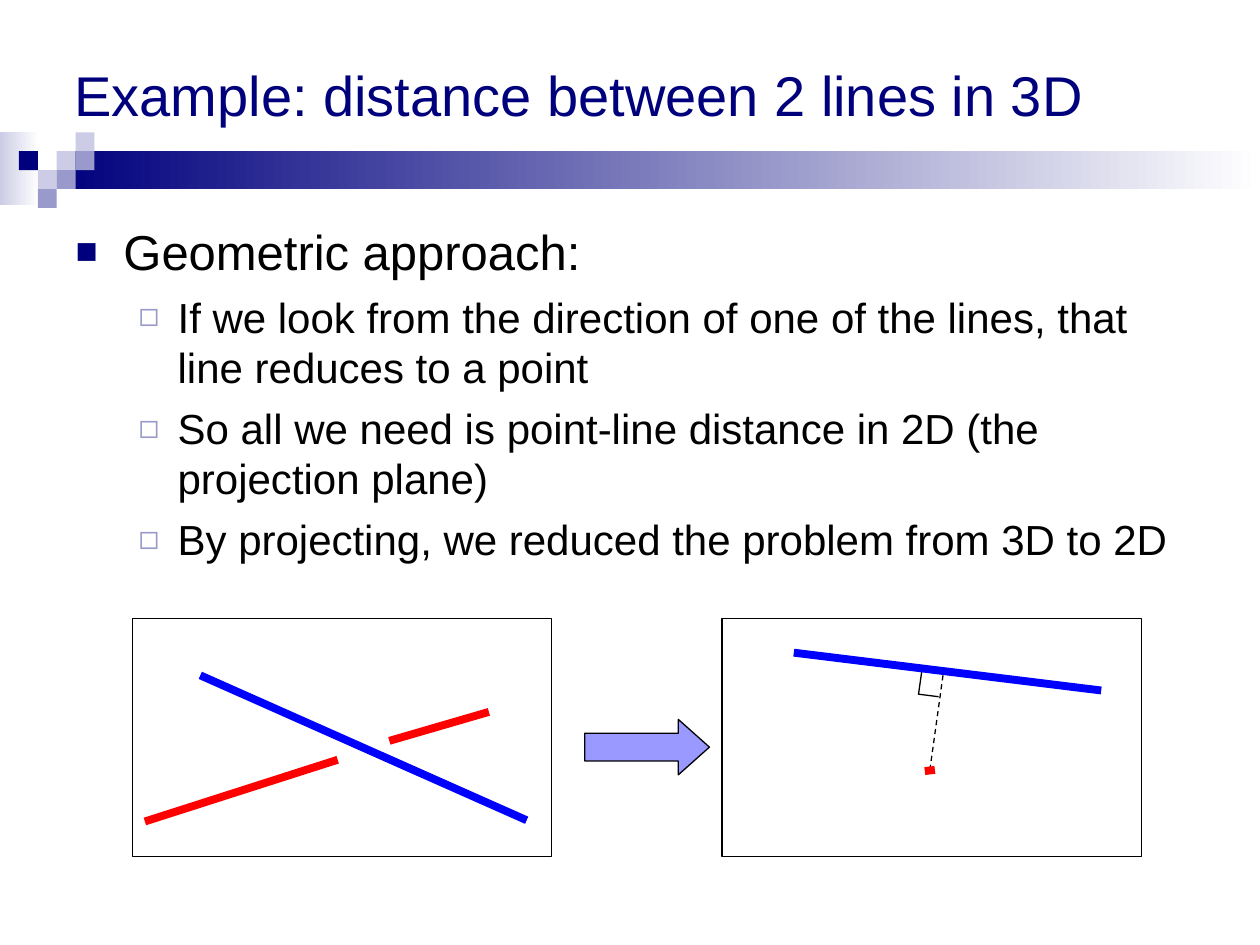
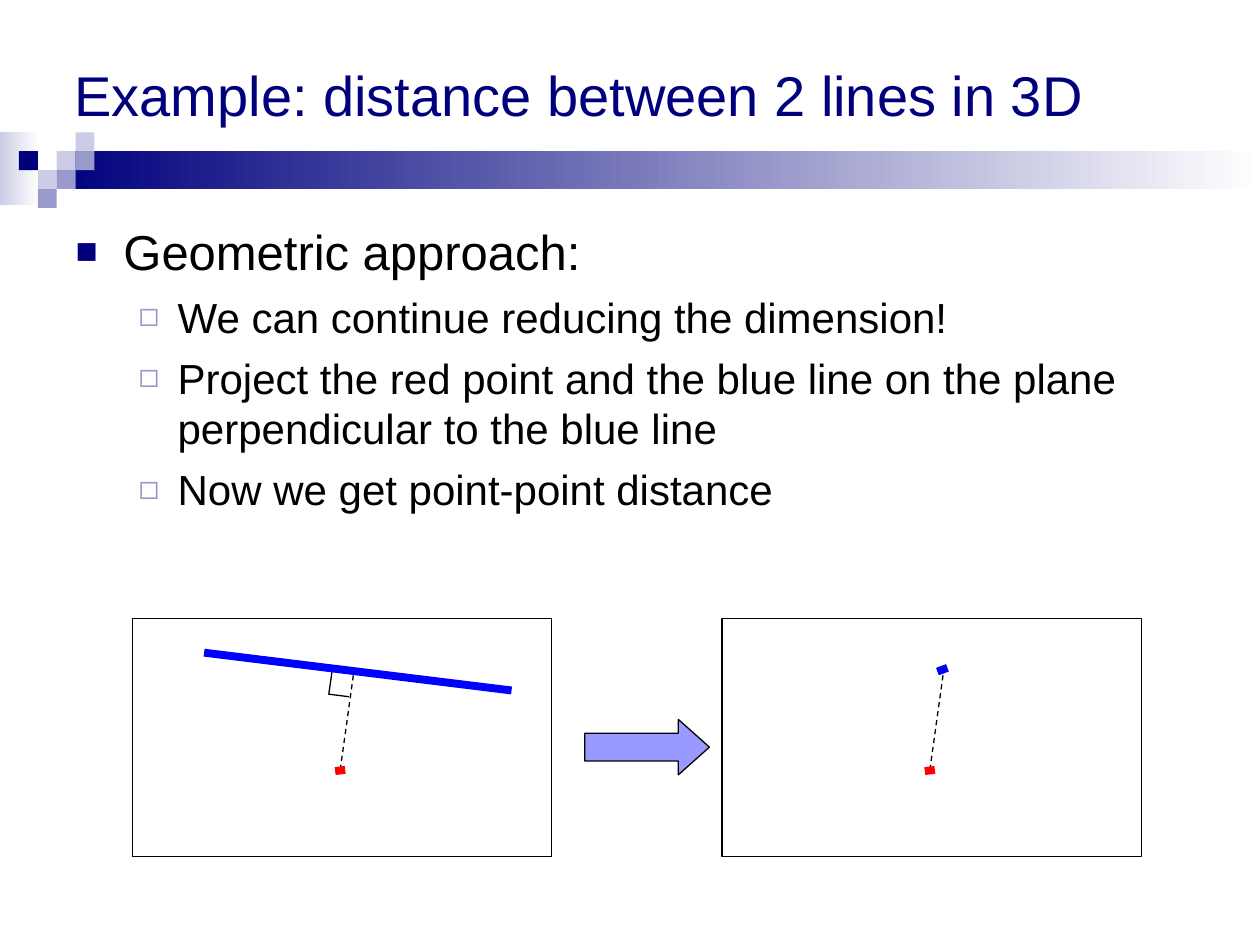
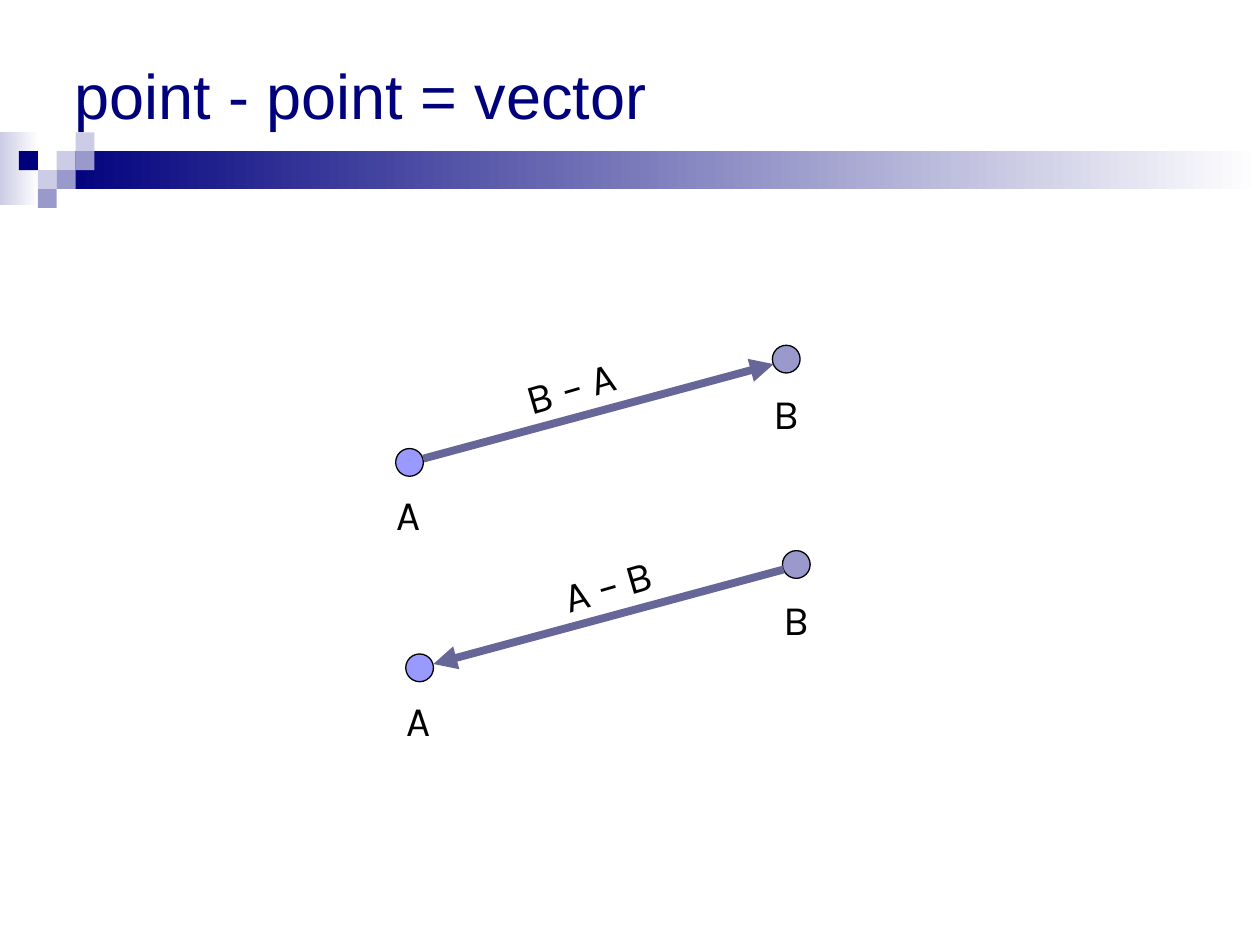
"""Three slides on 3D line distance and on vectors as differences of points."""
from lxml.etree import SubElement
from pptx import Presentation
from pptx.dml.color import RGBColor
from pptx.enum.dml import MSO_LINE_DASH_STYLE as Dash
from pptx.enum.shapes import MSO_CONNECTOR, MSO_SHAPE as Shape
from pptx.enum.text import MSO_ANCHOR, MSO_AUTO_SIZE, PP_ALIGN
from pptx.oxml.ns import qn
from pptx.util import Inches, Pt

NAVY = RGBColor(0x00, 0x00, 0x7D)
LAVENDER = RGBColor(0x99, 0x99, 0xCC)
PALE = RGBColor(0xCC, 0xCC, 0xE6)
PERIWINKLE = RGBColor(0x99, 0x99, 0xFF)
SLATE = RGBColor(0x66, 0x66, 0x99)
BLUE = RGBColor(0x00, 0x00, 0xFF)
RED = RGBColor(0xFF, 0x00, 0x00)
BLACK = RGBColor(0x00, 0x00, 0x00)
WHITE = RGBColor(0xFF, 0xFF, 0xFF)

THIN, THICK = 0.75, 4.5
TILE = 0.15
TILE_ORIGIN = (0.15, 1.05)
TILES = [(2, 1, PALE), (3, 0, PALE), (3, 1, LAVENDER), (1, 2, PALE),
         (0, 1, NAVY), (2, 2, LAVENDER), (1, 3, LAVENDER)]
FADES = [((0, 1.05, 0.31, 0.58), PALE), ((0.45, 1.2, 9.55, 0.3), NAVY)]

LEVELS = [dict(size=28, before=7, margin=0.38, hang=0.38, bullet="■", color=NAVY, share=75),
          dict(size=24, before=6, margin=0.81, hang=0.31, bullet="◻", color=LAVENDER, share=80)]

PANEL_SIZE = (3.33, 1.89)
LEFT_PANEL, RIGHT_PANEL = (1.05, 4.91), (5.73, 4.91)
RED_POINT = ((1.61, 1.21), (1.69, 1.2), RED)
DISTANCE = ((1.65, 1.2), (1.76, 0.41))
CORNER = [(1.59, 0.39), (1.56, 0.6), (1.72, 0.62)]
SKEW_LINES = dict(strokes=[((0.54, 0.45), (3.13, 1.6), BLUE),
                           ((0.1, 1.61), (1.63, 1.12), RED),
                           ((2.04, 0.97), (2.83, 0.74), RED)])
POINT_LINE = dict(strokes=[((0.57, 0.27), (3.01, 0.57), BLUE), RED_POINT],
                  distance=DISTANCE, corner=CORNER)
POINT_POINT = dict(strokes=[((1.71, 0.42), (1.79, 0.39), BLUE), RED_POINT],
                   distance=DISTANCE)

DISTANCE_TITLE = "Example: distance between 2 lines in 3D"
APPROACH = "Geometric approach:"
PROJECTIONS = [
    (["If we look from the direction of one of the lines, that line reduces to a point",
      "So all we need is point-line distance in 2D (the projection plane)",
      "By projecting, we reduced the problem from 3D to 2D"], SKEW_LINES, POINT_LINE),
    (["We can continue reducing the dimension!",
      "Project the red point and the blue line on the plane perpendicular to the blue line",
      "Now we get point-point distance"], POINT_LINE, POINT_POINT),
]

VECTOR_TITLE = "point - point = vector"
A_TO_B = (2.99, -0.82)
VECTORS = [dict(name="B – A", a=(3.25, 3.67), label=(1.3, -0.61), toward_b=True),
           dict(name="A – B", a=(3.33, 5.3), label=(1.52, -0.67), toward_b=False)]


def shift(point, offset):
    return point[0] + offset[0], point[1] + offset[1]


def inches(*lengths):
    return [Inches(length) for length in lengths]


def add_figure(slide, kind, box, fill=None, outline=None):
    figure = slide.shapes.add_shape(kind, *inches(*box))
    figure.shadow.inherit = False
    if fill is None:
        figure.fill.background()
    else:
        figure.fill.solid()
        figure.fill.fore_color.rgb = fill
    if outline is None:
        figure.line.fill.background()
    else:
        figure.line.color.rgb = outline
        figure.line.width = Pt(THIN)
    return figure


def add_line(slide, start, end, color, width, dash=None, arrow=False):
    line = slide.shapes.add_connector(MSO_CONNECTOR.STRAIGHT, *inches(*start, *end))
    line.line.color.rgb = color
    line.line.width = Pt(width)
    if dash:
        line.line.dash_style = dash
    properties = line.element.spPr
    if arrow:
        SubElement(properties.find(qn("a:ln")), qn("a:tailEnd"), type="triangle")
    SubElement(properties, qn("a:effectLst"))


def add_band(slide, master):
    """Draw the band and move it behind everything on the master."""
    parts = []
    for box, color in FADES:
        fade = add_figure(slide, Shape.RECTANGLE, box, color)
        fade.fill.gradient()
        fade.fill.gradient_angle = 0
        for stop, shade in zip(fade.fill.gradient_stops, (color, WHITE)):
            stop.color.rgb = shade
        parts.append(fade)
    left, top = TILE_ORIGIN
    for column, row, color in TILES:
        box = (left + column * TILE, top + row * TILE, TILE, TILE)
        parts.append(add_figure(slide, Shape.RECTANGLE, box, color))
    for position, part in enumerate(parts, 2):
        master.shapes.element.insert(position, part.element)


def place(placeholder, box, anchor):
    placeholder.left, placeholder.top, placeholder.width, placeholder.height = inches(*box)
    frame = placeholder.text_frame
    frame.auto_size = MSO_AUTO_SIZE.NONE
    frame.vertical_anchor = anchor
    return frame


def style(paragraph, size, color, font="Arial"):
    paragraph.alignment = PP_ALIGN.LEFT
    paragraph.font.size = Pt(size)
    paragraph.font.name = font
    paragraph.font.color.rgb = color


def set_title(slide, text, size):
    frame = place(slide.shapes.title, (0.49, 0, 9, 1.5), MSO_ANCHOR.MIDDLE)
    frame.text = text
    style(frame.paragraphs[0], size, NAVY)


def set_bullet(paragraph, level):
    properties = paragraph._p.get_or_add_pPr()
    properties.set("marL", str(Inches(level["margin"])))
    properties.set("indent", str(-Inches(level["hang"])))
    color = SubElement(properties, qn("a:buClr"))
    SubElement(color, qn("a:srgbClr"), val=str(level["color"]))
    SubElement(properties, qn("a:buSzPct"), val=str(level["share"] * 1000))
    SubElement(properties, qn("a:buFont"), typeface="Arial")
    SubElement(properties, qn("a:buChar"), char=level["bullet"])


def set_body(slide, heading, points):
    frame = place(slide.placeholders[1], (0.5, 1.71, 9, 4.71), MSO_ANCHOR.TOP)
    frame.text = "\n".join([heading, *points])
    for number, paragraph in enumerate(frame.paragraphs):
        paragraph.level = min(number, 1)
        level = LEVELS[paragraph.level]
        paragraph.space_before = Pt(level["before"])
        set_bullet(paragraph, level)
        style(paragraph, level["size"], BLACK)


def add_panel(slide, origin, strokes, distance=None, corner=None):
    if corner:
        first, *rest = [inches(*shift(point, origin)) for point in corner]
        builder = slide.shapes.build_freeform(*first)
        builder.add_line_segments(rest, close=False)
        angle = builder.convert_to_shape()
        angle.shadow.inherit = False
        angle.fill.background()
        angle.line.color.rgb = BLACK
        angle.line.width = Pt(THIN)
    if distance:
        start, end = (shift(point, origin) for point in distance)
        add_line(slide, start, end, BLACK, THIN, dash=Dash.DASH)
    add_figure(slide, Shape.RECTANGLE, (*origin, *PANEL_SIZE), outline=BLACK)
    for start, end, color in strokes:
        add_line(slide, shift(start, origin), shift(end, origin), color, THICK)


def add_label(slide, text, box, rotation=0):
    label = slide.shapes.add_textbox(*inches(*box))
    label.rotation = rotation
    label.text_frame.word_wrap = False
    label.text_frame.text = text
    style(label.text_frame.paragraphs[0], 24, BLACK, "Karla")


def add_vector(slide, name, a, label, toward_b):
    b = shift(a, A_TO_B)
    for letter, center, color, drop in (("A", a, PERIWINKLE, 0.16), ("B", b, LAVENDER, 0.18)):
        add_figure(slide, Shape.OVAL, (*shift(center, (-0.11, -0.11)), 0.22, 0.22), color, BLACK)
        add_label(slide, letter, (*shift(center, (-0.2, drop)), 0.41, 0.5))
    ends = [shift(a, (0.11, -0.03)), shift(b, (-0.1, 0.04))]
    start, end = ends if toward_b else reversed(ends)
    add_line(slide, start, end, SLATE, THICK, arrow=True)
    middle = shift(a, label)
    add_label(slide, name, (*shift(middle, (-0.48, -0.25)), 0.97, 0.5), 343.8)


def main():
    deck = Presentation()
    deck.slide_width, deck.slide_height = inches(10, 7.5)
    bulleted, title_only = deck.slide_layouts[1], deck.slide_layouts[5]

    for points, before, after in PROJECTIONS:
        slide = deck.slides.add_slide(bulleted)
        set_title(slide, DISTANCE_TITLE, 32)
        set_body(slide, APPROACH, points)
        add_panel(slide, LEFT_PANEL, **before)
        arrow = add_figure(slide, Shape.RIGHT_ARROW, (4.64, 5.71, 0.99, 0.44), PERIWINKLE, BLACK)
        arrow.adjustments[1] = 0.56
        add_panel(slide, RIGHT_PANEL, **after)

    slide = deck.slides.add_slide(title_only)
    set_title(slide, VECTOR_TITLE, 36)
    for vector in VECTORS:
        add_vector(slide, **vector)
    add_band(slide, deck.slide_master)

    deck.save("out.pptx")


if __name__ == "__main__":
    main()
